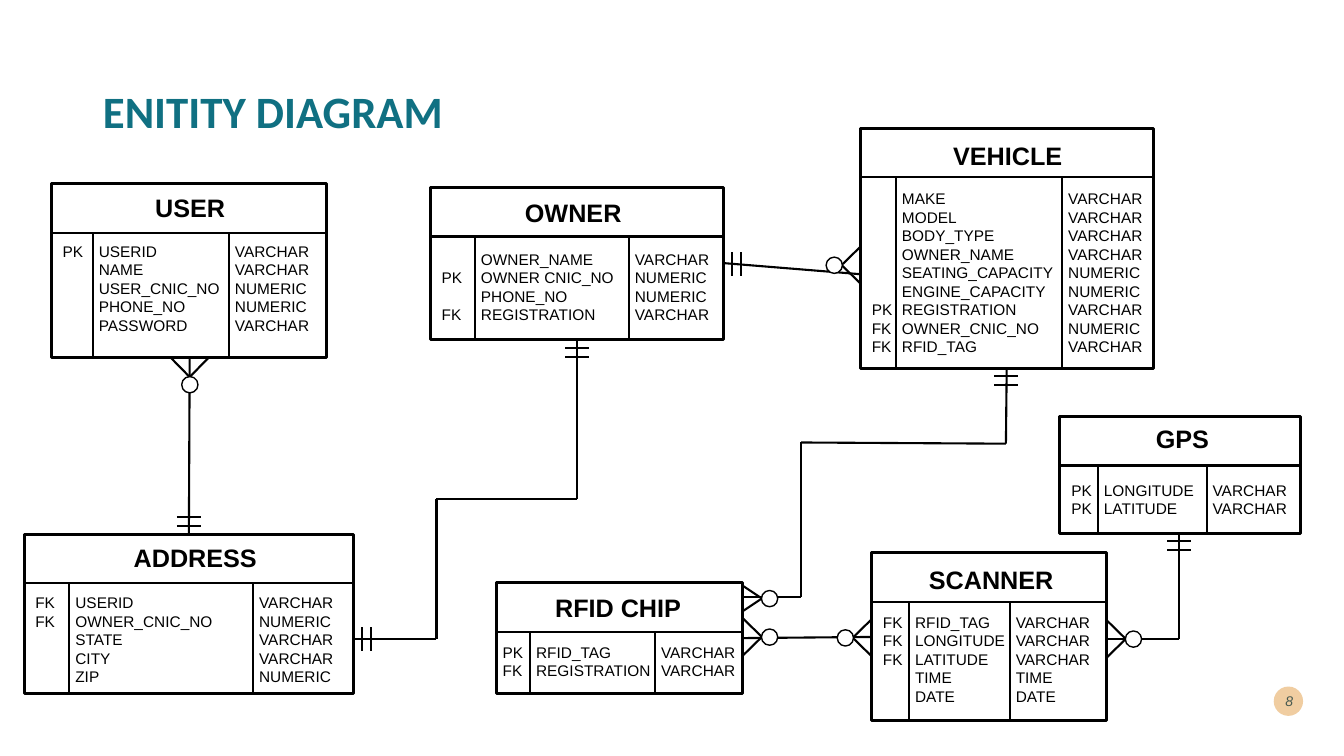
import dataclasses
import itertools

import lxml.etree
import pptx
import pptx.dml.color
import pptx.enum.shapes
import pptx.enum.text
import pptx.oxml.ns
import pptx.util

Cm = pptx.util.Cm
Pt = pptx.util.Pt
qn = pptx.oxml.ns.qn
SHAPES = pptx.enum.shapes.MSO_SHAPE
ALIGN = pptx.enum.text.PP_ALIGN
ANCHOR = pptx.enum.text.MSO_ANCHOR
AUTO_SIZE = pptx.enum.text.MSO_AUTO_SIZE


@dataclasses.dataclass(frozen=True)
class Theme:
    ink: str = "000000"
    paper: str = "FFFFFF"
    title: str = "107082"
    badge: str = "F0CDA1"
    number: str = "00292E"
    title_font: str = "Calibri"
    font: str = "Arial"
    title_size: int = 32
    entity_size: int = 18
    row_size: int = 11
    number_size: int = 10
    box_line: float = 2.25
    line: float = 1.5
    circle_line: float = 1


@dataclasses.dataclass(frozen=True)
class Entity:
    name: str
    box: tuple       # left, top, width, height in cm
    dividers: tuple  # offsets of the two column lines from the left edge
    heading: tuple   # offset from the left and top edges, then width
    body: tuple      # offset from the left and top edges, then width
    rows: tuple      # key, field, type


THEME = Theme()
HEADER = 1.24      # height of an entity's heading strip
INSET = 0.25       # text box margin
COLUMN_GAP = 0.15  # from a column line to its text
ROW_HEIGHT = 0.47
V, N = "VARCHAR", "NUMERIC"

ENTITIES = (
    Entity("USER", (1.3, 4.62, 6.93, 4.39), (1.04, 4.47), (2.36, 0.1, 2.29), (0.03, 1.35, 6.9),
           (("PK", "USERID", V), ("", "NAME", V), ("", "USER_CNIC_NO", N),
            ("", "PHONE_NO", N), ("", "PASSWORD", V))),
    Entity("OWNER", (10.85, 4.72, 7.39, 3.84), (1.12, 5), (2.13, 0.13, 2.97), (0.03, 1.45, 7.35),
           (("", "OWNER_NAME", V), ("PK", "OWNER CNIC_NO", N),
            ("", "PHONE_NO", N), ("FK", "REGISTRATION", V))),
    Entity("ADDRESS", (0.61, 13.46, 8.31, 4.01), (1.14, 5.77), (2.51, 0.08, 3.66),
           (0.03, 1.37, 8.3),
           (("FK", "USERID", V), ("FK", "OWNER_CNIC_NO", N), ("", "STATE", V),
            ("", "CITY", V), ("", "ZIP", N))),
    Entity("GPS", (26.7, 10.49, 6.07, 2.95), (0.97, 3.71), (2.18, 0.05, 1.85), (0.05, 1.5, 6.1),
           (("PK", "LONGITUDE", V), ("PK", "LATITUDE", V))),
    Entity("VEHICLE", (21.69, 3.23, 7.39, 6.05), (0.89, 5.08), (2.08, 0.18, 3.3),
           (0.03, 1.42, 7.57),
           (("", "MAKE", V), ("", "MODEL", V), ("", "BODY_TYPE", V), ("", "OWNER_NAME", V),
            ("", "SEATING_CAPACITY", N), ("", "ENGINE_CAPACITY", N), ("PK", "REGISTRATION", V),
            ("FK", "OWNER_CNIC_NO", N), ("FK", "RFID_TAG", V))),
    Entity("RFID CHIP", (12.52, 14.68, 6.2, 2.79), (0.84, 3.99), (1.22, 0.13, 3.71),
           (-0.1, 1.4, 6.55),
           (("PK", "RFID_TAG", V), ("FK", "REGISTRATION", V))),
    Entity("SCANNER", (21.97, 13.92, 5.92, 4.24), (0.94, 3.48), (1.19, 0.18, 3.68),
           (0.03, 1.4, 5.92),
           (("FK", "RFID_TAG", V), ("FK", "LONGITUDE", V), ("FK", "LATITUDE", V),
            ("", "TIME", "TIME"), ("", "DATE", "DATE"))),
)

RELATIONS = (
    ((4.78, 9.02), (4.76, 13.46)),
    ((14.55, 8.56), (14.55, 12.57), (11, 12.57), (11, 16.1), (8.92, 16.1)),
    ((29.72, 13.44), (29.72, 16.1), (27.89, 16.1)),
    ((18.24, 6.63), (21.69, 6.91)),
    ((18.72, 16.08), (21.97, 16.05)),
    ((25.37, 9.27), (25.35, 11.18), (20.19, 11.15), (20.19, 15.05), (18.72, 15.05)),
)

UP, DOWN, LEFT, RIGHT = (0, -1), (0, 1), (-1, 0), (1, 0)
ONE_ENDS = ((4.76, 13.46, UP), (14.55, 8.56, DOWN), (8.92, 16.1, RIGHT),
            (29.72, 13.44, DOWN), (18.24, 6.65, RIGHT), (25.36, 9.27, DOWN))
MANY_ENDS = ((4.78, 9.02, DOWN, 0.47), (27.89, 16.1, RIGHT, 0.47), (21.69, 6.68, LEFT, 0.47),
             (21.97, 16.07, LEFT, 0.47), (18.72, 16.05, RIGHT, 0.47), (18.72, 15.08, RIGHT, 0.32))


def rgb(value):
    return pptx.dml.color.RGBColor.from_string(value)


def set_font(paragraph, size, color=THEME.ink, name=THEME.font, bold=False, italic=False):
    font = paragraph.font
    font.name, font.size, font.bold, font.italic = name, Pt(size), bold, italic
    font.color.rgb = rgb(color)


def add_line(slide, start, end):
    line = slide.shapes.add_connector(
        pptx.enum.shapes.MSO_CONNECTOR.STRAIGHT, *(Cm(value) for value in (*start, *end)))
    line.line.color.rgb = rgb(THEME.ink)
    line.line.width = Pt(THEME.line)
    lxml.etree.SubElement(line._element.spPr, qn("a:effectLst"))


def add_outline(slide, kind, box, fill, line_width=None):
    shape = slide.shapes.add_shape(kind, *(Cm(value) for value in box))
    shape.shadow.inherit = False
    shape.fill.solid()
    shape.fill.fore_color.rgb = rgb(fill)
    if line_width:
        shape.line.color.rgb = rgb(THEME.ink)
        shape.line.width = Pt(line_width)
    else:
        shape.line.fill.background()


def add_text(slide, box, wrap=True):
    frame = slide.shapes.add_textbox(*(Cm(value) for value in box)).text_frame
    frame.word_wrap = wrap
    return frame


def add_title(slide, box, text):
    title = slide.shapes.title
    title.left, title.top, title.width, title.height = (Cm(value) for value in box)
    title.text_frame.vertical_anchor = ANCHOR.MIDDLE
    title.text_frame.text = text
    paragraph = title.text_frame.paragraphs[0]
    paragraph.alignment = ALIGN.LEFT
    paragraph.line_spacing = 0.9
    set_font(paragraph, THEME.title_size, THEME.title, THEME.title_font, bold=True)


def add_slide_number(slide, box, text):
    left, top, width, height = box
    add_outline(slide, SHAPES.OVAL, (left + 0.25, top + 0.15, 0.74, 0.74), THEME.badge)
    frame = add_text(slide, (left, top, width, height))
    frame.vertical_anchor = ANCHOR.MIDDLE
    paragraph = frame.paragraphs[0]
    paragraph.text = text
    paragraph.alignment = ALIGN.RIGHT
    set_font(paragraph, THEME.number_size, THEME.number, italic=True)
    for color in paragraph._p.iter(qn("a:srgbClr")):
        lxml.etree.SubElement(color, qn("a:alpha"), val="70000")


def add_entity(slide, entity):
    left, top, width, height = entity.box
    # Frame, heading line and column lines
    add_outline(slide, SHAPES.RECTANGLE, entity.box, THEME.paper, THEME.box_line)
    add_line(slide, (left, top + HEADER), (left + width, top + HEADER))
    for divider in entity.dividers:
        add_line(slide, (left + divider, top + HEADER), (left + divider, top + height))
    # Heading
    shift_x, shift_y, heading_width = entity.heading
    frame = add_text(slide, (left + shift_x, top + shift_y, heading_width, 1.02), wrap=False)
    frame.auto_size = AUTO_SIZE.SHAPE_TO_FIT_TEXT
    frame.text = entity.name
    set_font(frame.paragraphs[0], THEME.entity_size, bold=True)
    # Rows, aligned to the column lines with tab stops
    shift_x, shift_y, body_width = entity.body
    body_height = len(entity.rows) * ROW_HEIGHT + 0.26
    frame = add_text(slide, (left + shift_x, top + shift_y, body_width, body_height))
    frame.auto_size = AUTO_SIZE.SHAPE_TO_FIT_TEXT
    frame.text = "\n".join("\t".join(row) for row in entity.rows)
    for paragraph in frame.paragraphs:
        tabs = lxml.etree.SubElement(paragraph._p.get_or_add_pPr(), qn("a:tabLst"))
        for divider in entity.dividers:
            stop = Cm(divider + COLUMN_GAP - shift_x - INSET)
            lxml.etree.SubElement(tabs, qn("a:tab"), pos=str(int(stop)), algn="l")
        set_font(paragraph, THEME.row_size)


def add_one_end(slide, x, y, direction):
    along_x, along_y = direction
    for distance in (0.2, 0.43):
        bar_x, bar_y = x + along_x * distance, y + along_y * distance
        half_x, half_y = abs(along_y) * 0.3, abs(along_x) * 0.3
        add_line(slide, (bar_x - half_x, bar_y - half_y), (bar_x + half_x, bar_y + half_y))


def add_many_end(slide, x, y, direction, spread):
    along_x, along_y = direction
    tip = (x + along_x * 0.48, y + along_y * 0.48)
    for side in (-spread, spread):
        add_line(slide, tip, (x + along_y * side, y + along_x * side))
    circle = (x + along_x * 0.67 - 0.2, y + along_y * 0.67 - 0.2, 0.41, 0.41)
    add_outline(slide, SHAPES.OVAL, circle, THEME.paper, THEME.circle_line)


def add_relations(slide):
    for points in RELATIONS:
        for start, end in itertools.pairwise(points):
            add_line(slide, start, end)
    for end in ONE_ENDS:
        add_one_end(slide, *end)
    for end in MANY_ENDS:
        add_many_end(slide, *end)


def main():
    presentation = pptx.Presentation()
    presentation.slide_width, presentation.slide_height = Cm(33.87), Cm(19.05)
    slide = presentation.slides.add_slide(presentation.slide_layouts.get_by_name("Title Only"))
    add_title(slide, (2.34, 1.02, 29.21, 3.68), "ENITITY DIAGRAM")
    add_slide_number(slide, (31.85, 17.15, 0.99, 1.02), "8")
    for entity in ENTITIES:
        add_entity(slide, entity)
    add_relations(slide)
    presentation.save("out.pptx")


if __name__ == "__main__":
    main()
